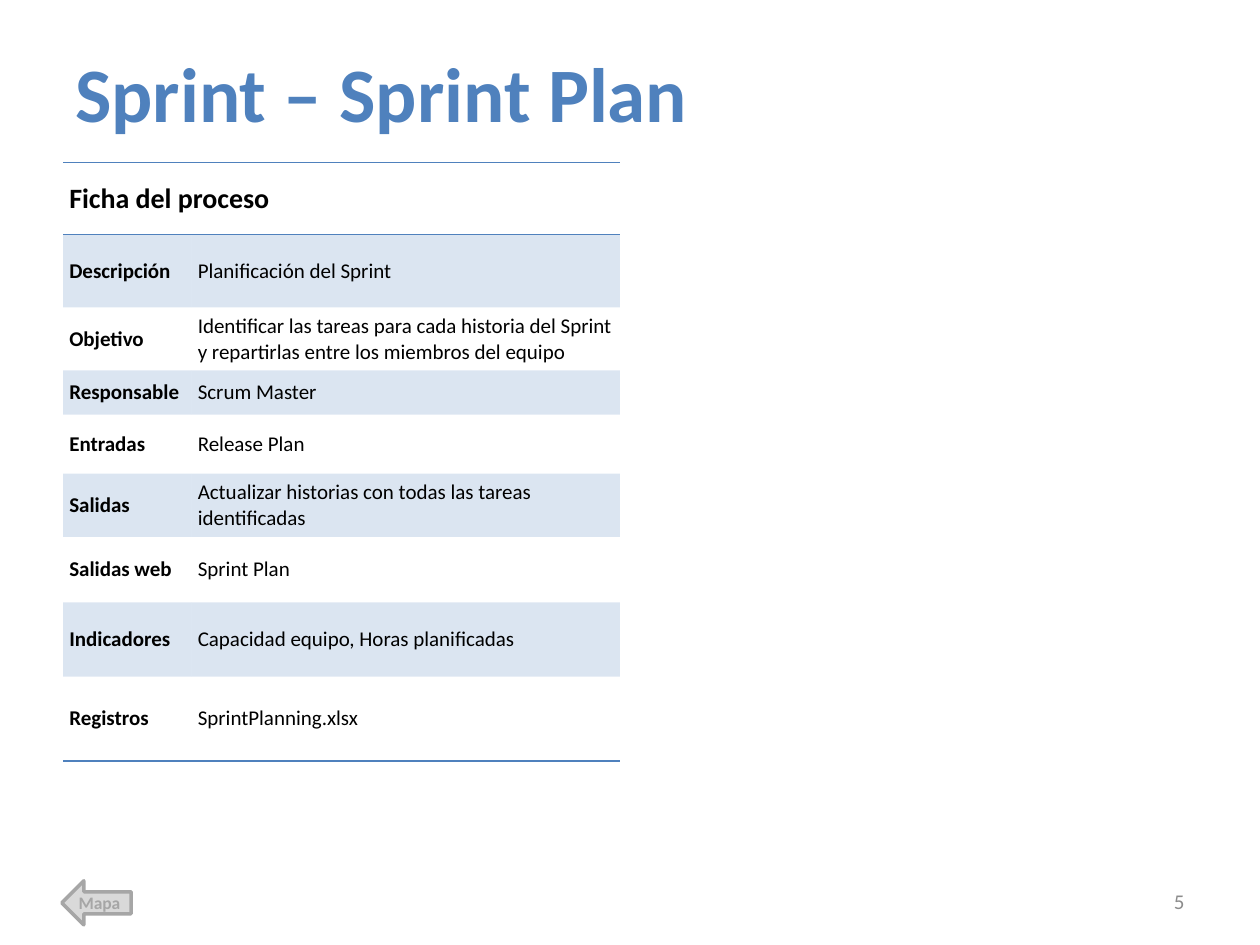
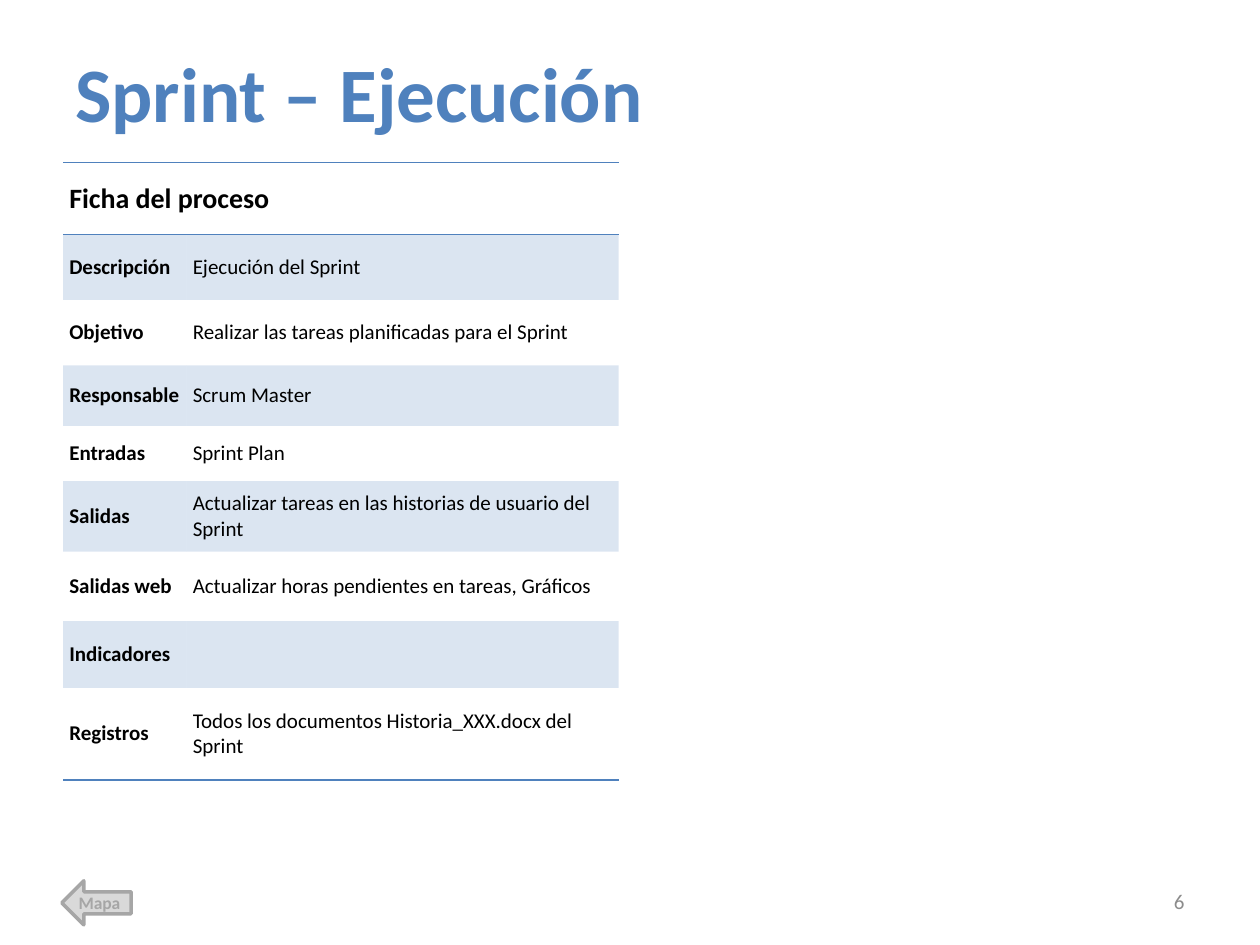
from dataclasses import dataclass

from lxml import etree
from pptx import Presentation
from pptx.dml.color import RGBColor
from pptx.enum.shapes import MSO_SHAPE
from pptx.enum.text import MSO_ANCHOR, PP_ALIGN
from pptx.oxml.ns import qn
from pptx.util import Inches, Pt

LEFT_ARROW = MSO_SHAPE.LEFT_ARROW
MIDDLE = MSO_ANCHOR.MIDDLE
LEFT, CENTER, RIGHT = PP_ALIGN.LEFT, PP_ALIGN.CENTER, PP_ALIGN.RIGHT
NO_TABLE_STYLE = "{2D5ABB26-0587-4C30-8999-92F81FD0307C}"
BLANK_LAYOUT = 6


@dataclass(frozen=True)
class Theme:
    font: str = "Calibri"
    accent: str = "4F81BD"
    text: str = "000000"
    number: str = "8C8C8C"
    arrow_fill: str = "D9D9D9"
    arrow_line: str = "A6A6A6"
    band_alpha: int = 20
    title_size: int = 44
    heading_size: int = 16
    body_size: int = 12
    arrow_size: int = 10
    rule_width: int = 1
    arrow_width: int = 2


def write_text(frame, text, *, font, size, color, bold=False, align=LEFT):
    paragraph = frame.paragraphs[0]
    paragraph.alignment = align
    run = paragraph.add_run()
    run.text = text
    run.font.name = font
    run.font.size = Pt(size)
    run.font.bold = bold
    run.font.color.rgb = RGBColor.from_string(color)


class ProcessDeck:
    def __init__(self, theme):
        self.theme = theme
        self.presentation = Presentation()
        self.presentation.slide_width = Inches(10)
        self.presentation.slide_height = Inches(7.5)
        self.slide = None

    def new_slide(self):
        layout = self.presentation.slide_layouts[BLANK_LAYOUT]
        self.slide = self.presentation.slides.add_slide(layout)

    def text_box(self, left, top, width, height, text, **text_format):
        shape = self.slide.shapes.add_textbox(
            Inches(left), Inches(top), Inches(width), Inches(height))
        shape.text_frame.word_wrap = True
        shape.text_frame.vertical_anchor = MIDDLE
        write_text(shape.text_frame, text, font=self.theme.font, **text_format)

    def title(self, text):
        self.text_box(0.5, 0.3, 9, 0.86, text, size=self.theme.title_size,
                      color=self.theme.accent, bold=True)

    def page_number(self, number):
        self.text_box(7.17, 6.95, 2.33, 0.4, str(number), size=self.theme.body_size,
                      color=self.theme.number, align=RIGHT)

    def map_arrow(self):
        theme = self.theme
        shape = self.slide.shapes.add_shape(
            LEFT_ARROW, Inches(0.49), Inches(6.99), Inches(0.55), Inches(0.35))
        shape.shadow.inherit = False
        shape.fill.solid()
        shape.fill.fore_color.rgb = RGBColor.from_string(theme.arrow_fill)
        shape.line.color.rgb = RGBColor.from_string(theme.arrow_line)
        shape.line.width = Pt(theme.arrow_width)
        frame = shape.text_frame
        frame.word_wrap = False
        frame.vertical_anchor = MIDDLE
        frame.margin_left = frame.margin_top = Inches(0.04)
        frame.margin_right, frame.margin_bottom = Inches(0.08), Inches(0.05)
        write_text(frame, "Mapa", font=theme.font, size=theme.arrow_size,
                   color=theme.arrow_line, bold=True, align=CENTER)

    def cell_rule(self, cell, side):
        properties = cell._tc.get_or_add_tcPr()
        line = etree.SubElement(properties, qn(f"a:{side}"),
                                w=str(Pt(self.theme.rule_width)))
        fill = etree.SubElement(line, qn("a:solidFill"))
        etree.SubElement(fill, qn("a:srgbClr"), val=self.theme.accent)

    def cell_fill(self, cell, banded):
        if not banded:
            cell.fill.background()
            return
        cell.fill.solid()
        cell.fill.fore_color.rgb = RGBColor.from_string(self.theme.accent)
        color = cell._tc.tcPr.find(f"{qn('a:solidFill')}/{qn('a:srgbClr')}")
        etree.SubElement(color, qn("a:alpha"), val=str(self.theme.band_alpha * 1000))

    def process_table(self, columns, heights, values):
        rows = [("Ficha del proceso", "")] + list(zip(LABELS, values))
        frame = self.slide.shapes.add_table(
            len(rows), len(columns), Inches(0.5), Inches(1.29),
            Inches(sum(columns)), Inches(sum(heights)))
        frame.element.find(f".//{qn('a:tableStyleId')}").text = NO_TABLE_STYLE
        table = frame.table
        table.first_row = table.horz_banding = False
        for column, width in zip(table.columns, columns):
            column.width = Inches(width)
        for index, (height, texts) in enumerate(zip(heights, rows)):
            table.rows[index].height = Inches(height)
            for position, text in enumerate(texts):
                self.process_cell(table.cell(index, position), text, index,
                                  last=index == len(rows) - 1,
                                  bold=position == 0)
        table.cell(0, 0).merge(table.cell(0, 1))

    def process_cell(self, cell, text, index, last, bold):
        header = index == 0
        cell.vertical_anchor = MIDDLE
        cell.margin_left = cell.margin_right = Inches(0.05)
        cell.margin_top = cell.margin_bottom = Inches(0.05)
        if header:
            self.cell_rule(cell, "lnT")
        if header or last:
            self.cell_rule(cell, "lnB")
        self.cell_fill(cell, banded=index % 2 == 1)
        if text:
            size = self.theme.heading_size if header else self.theme.body_size
            write_text(cell.text_frame, text, font=self.theme.font, size=size,
                       color=self.theme.text, bold=bold)


LABELS = ("Descripción", "Objetivo", "Responsable", "Entradas", "Salidas",
          "Salidas web", "Indicadores", "Registros")

PROCESSES = (
    dict(
        title="Sprint – Sprint Plan",
        columns=(1.02, 3.4),
        heights=(0.57, 0.58, 0.49, 0.35, 0.47, 0.49, 0.52, 0.59, 0.67),
        values=(
            "Planificación del Sprint",
            "Identificar las tareas para cada historia del Sprint "
            "y repartirlas entre los miembros del equipo",
            "Scrum Master",
            "Release Plan",
            "Actualizar historias con todas las tareas identificadas",
            "Sprint Plan",
            "Capacidad equipo, Horas planificadas",
            "SprintPlanning.xlsx",
        ),
    ),
    dict(
        title="Sprint – Ejecución",
        columns=(0.98, 3.43),
        heights=(0.57, 0.52, 0.52, 0.48, 0.44, 0.56, 0.55, 0.53, 0.73),
        values=(
            "Ejecución del Sprint",
            "Realizar las tareas planificadas para el Sprint",
            "Scrum Master",
            "Sprint Plan",
            "Actualizar tareas en las historias de usuario del Sprint",
            "Actualizar horas pendientes en tareas, Gráficos",
            "",
            "Todos los documentos Historia_XXX.docx del Sprint",
        ),
    ),
)

FIRST_PAGE = 5

deck = ProcessDeck(Theme())
for page, process in enumerate(PROCESSES, FIRST_PAGE):
    deck.new_slide()
    deck.map_arrow()
    deck.title(process["title"])
    deck.process_table(process["columns"], process["heights"], process["values"])
    deck.page_number(page)
deck.presentation.save("out.pptx")
